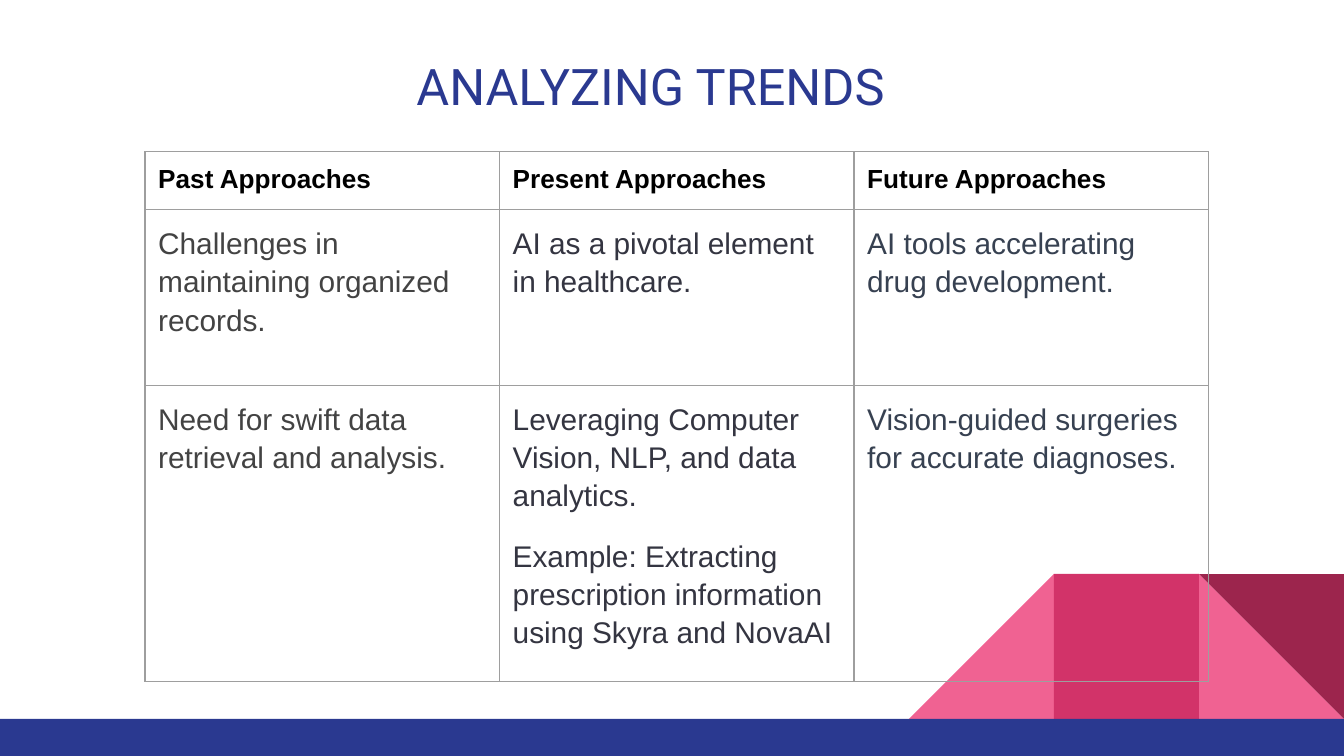
from lxml import etree
from pptx import Presentation
from pptx import util as u
from pptx.dml.color import RGBColor
from pptx.enum import shapes, text
from pptx.oxml.ns import qn

Cm, Pt = u.Cm, u.Pt
WIDE, HIGH = 25.4, 14.29
PAD = Cm(0.25)
INK = {
    "blue": "2A3990", "pink": "F06292", "rose": "D23369", "wine": "9C254D",
    "black": "000000", "grid": "9E9E9E",
    "past": "434343", "now": "343541", "next": "374151",
}
HEADS = ["Past Approaches", "Present Approaches", "Future Approaches"]
BODY = [
    [["Challenges in maintaining organized records."],
     ["AI as a pivotal element in healthcare."],
     ["AI tools accelerating drug development."]],
    [["Need for swift data retrieval and analysis."],
     ["Leveraging Computer Vision, NLP, and data analytics.",
      "Example: Extracting prescription information using Skyra and NovaAI"],
     ["Vision-guided surgeries for accurate diagnoses."]],
]


def add_run(para, words, size, ink, face="Arial", bold=False):
    run = para.add_run()
    run.text = words
    font = run.font
    font.size, font.name, font.bold = Pt(size), face, bold
    font.color.rgb = RGBColor.from_string(INK[ink])


def add_block(slide, kind, box, ink):
    block = slide.shapes.add_shape(kind, *map(Cm, box))
    block.shadow.inherit = False
    block.fill.solid()
    block.fill.fore_color.rgb = RGBColor.from_string(INK[ink])
    block.line.fill.background()
    return block


def add_decor(slide, left, top, wide, high):
    """Three equal tiles at the right, above a full-width bar."""
    side, bar = 2.74, 0.7
    tri, rect = shapes.MSO_SHAPE.RIGHT_TRIANGLE, shapes.MSO_SHAPE.RECTANGLE
    base = top + high - bar
    tiles = [(left + wide - n * side, base - side, side, side)
             for n in (3, 2, 1)]
    add_block(slide, tri, tiles[2], "pink")
    slope = add_block(slide, tri, tiles[0], "pink")
    slope._element.spPr.find(qn("a:xfrm")).set("flipH", "1")
    add_block(slide, rect, tiles[1], "rose")
    add_block(slide, tri, tiles[2], "wine").rotation = 180
    add_block(slide, rect, (left, base, wide, bar), "blue")


def add_title(slide, left, top, wide, high):
    frame = slide.shapes.add_textbox(*map(Cm, (left, top, wide, high))).text_frame
    frame.word_wrap = True
    frame.vertical_anchor = text.MSO_ANCHOR.TOP
    frame.margin_left = frame.margin_right = PAD
    frame.margin_top = frame.margin_bottom = PAD
    add_run(frame.paragraphs[0], "ANALYZING TRENDS", 27, "blue", "Roboto")


def style_cell(cell):
    cell.margin_left = cell.margin_right = PAD
    cell.margin_top = cell.margin_bottom = PAD
    cell.fill.background()
    # Borders come before the fill in the cell properties
    props = cell._tc.get_or_add_tcPr()
    for spot, edge in enumerate(("lnL", "lnR", "lnT", "lnB")):
        line = etree.Element(qn("a:" + edge), w=str(Pt(0.75)))
        fill = etree.SubElement(line, qn("a:solidFill"))
        etree.SubElement(fill, qn("a:srgbClr"), val=INK["grid"])
        props.insert(spot, line)


def add_grid(slide, left, top, wide, highs):
    frame = slide.shapes.add_table(
        len(highs), len(HEADS), *map(Cm, (left, top, wide, sum(highs))))
    table = frame.table
    table.first_row = table.horz_banding = False
    for col in table.columns:
        col.width = Cm(wide / len(HEADS))
    for row, high in zip(table.rows, highs):
        row.height = Cm(high)
    for cell in table.iter_cells():
        style_cell(cell)

    # Header row
    for col, head in enumerate(HEADS):
        para = table.cell(0, col).text_frame.paragraphs[0]
        add_run(para, head, 14, "black", bold=True)

    # Body rows, one text colour per column
    for row, cells in enumerate(BODY, 1):
        for col, (paras, ink) in enumerate(zip(cells, ("past", "now", "next"))):
            frame = table.cell(row, col).text_frame
            for n, words in enumerate(paras):
                para = frame.add_paragraph() if n else frame.paragraphs[0]
                para.line_spacing = 1.15
                if n:
                    para.space_before = Pt(12)
                add_run(para, words, 16, ink)


def main():
    deck = Presentation()
    deck.slide_width, deck.slide_height = Cm(WIDE), Cm(HIGH)
    slide = deck.slides.add_slide(deck.slide_layouts[6])
    add_decor(slide, 0, 0, WIDE, HIGH)
    add_title(slide, 7.62, 0.79, 10.16, 2.08)
    add_grid(slide, 2.74, 2.87, 20.1, [1.05, 3.32, 5.25])
    deck.save("out.pptx")


if __name__ == "__main__":
    main()
